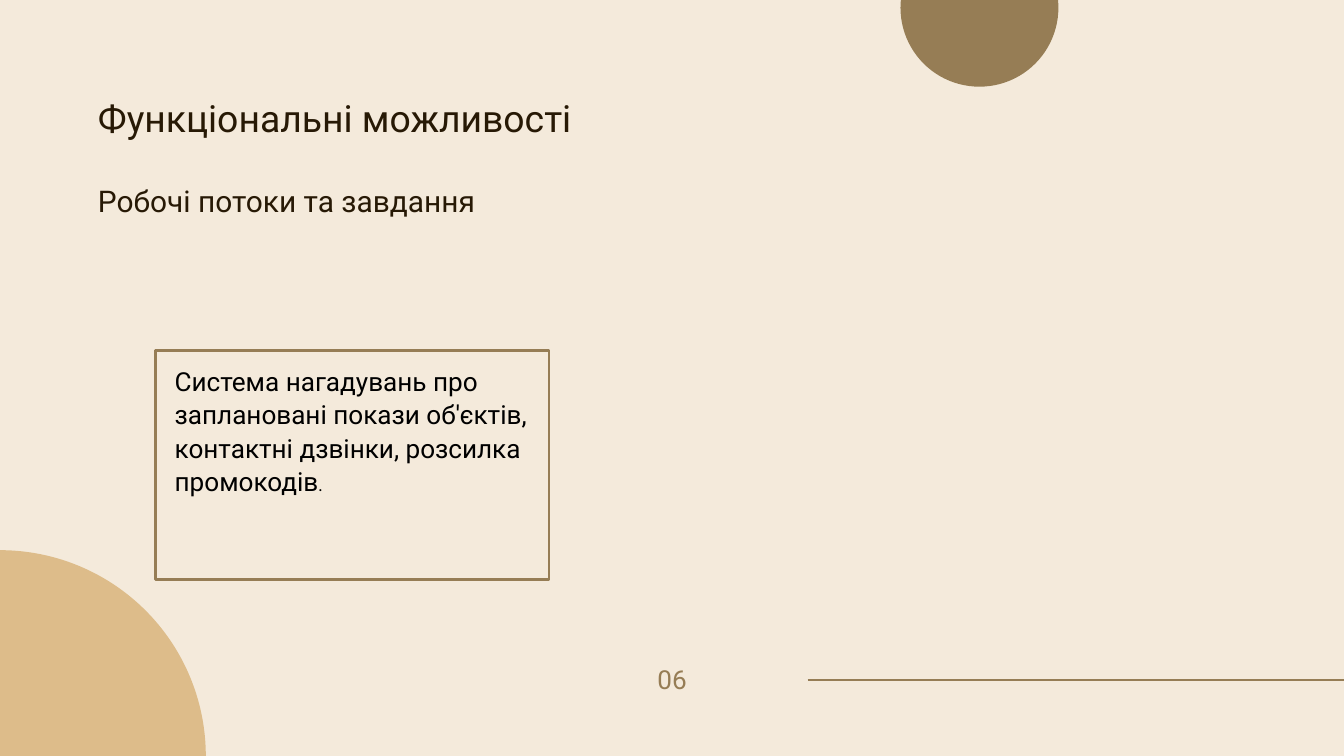
from dataclasses import dataclass

import pptx
import pptx.dml.color
import pptx.enum.shapes
import pptx.enum.text
import pptx.oxml.ns
import pptx.util
from lxml import etree

Pt = pptx.util.Pt
Align = pptx.enum.text.PP_ALIGN
Shape = pptx.enum.shapes.MSO_SHAPE


@dataclass(frozen=True)
class Theme:
    background: str = "F4EADB"
    accent: str = "967D55"
    sand: str = "DDBC8A"
    heading: str = "271905"
    body: str = "000000"
    font: str = "Roboto"
    stop_font: str = "Calibri"
    title_size: int = 40
    subtitle_size: int = 32
    body_size: int = 28
    stop_size: int = 18
    leading: int = 28
    stroke: int = 3


THEME = Theme()
WIDTH, HEIGHT = 1440, 810


def rgb(color):
    return pptx.dml.color.RGBColor.from_string(color)


def add_circle(slide, center_x, center_y, radius, color):
    circle = slide.shapes.add_shape(
        Shape.OVAL, Pt(center_x - radius), Pt(center_y - radius),
        Pt(2 * radius), Pt(2 * radius))
    circle.shadow.inherit = False
    circle.fill.solid()
    circle.fill.fore_color.rgb = rgb(color)
    circle.line.fill.background()


def add_frame(slide, left, top, width, height):
    frame = slide.shapes.add_shape(
        Shape.RECTANGLE, Pt(left), Pt(top), Pt(width), Pt(height))
    frame.shadow.inherit = False
    frame.fill.background()
    frame.line.color.rgb = rgb(THEME.accent)
    frame.line.width = Pt(THEME.stroke)


def add_rule(slide, start, end, y):
    rule = slide.shapes.add_connector(
        pptx.enum.shapes.MSO_CONNECTOR.STRAIGHT, Pt(start), Pt(y), Pt(end), Pt(y))
    rule.line.color.rgb = rgb(THEME.accent)
    rule.line.width = Pt(THEME.stroke)
    properties = rule._element.spPr
    etree.SubElement(properties, pptx.oxml.ns.qn("a:effectLst"))


def add_text_area(slide, left, top, width, height, margins=(0, 0, 0, 0)):
    area = slide.shapes.add_textbox(Pt(left), Pt(top), Pt(width), Pt(height)).text_frame
    area.word_wrap = True
    area.auto_size = pptx.enum.text.MSO_AUTO_SIZE.SHAPE_TO_FIT_TEXT
    area.margin_left, area.margin_top, area.margin_right, area.margin_bottom = map(Pt, margins)
    return area


def style_font(font, size, color, name=THEME.font):
    font.name = name
    font.size = Pt(size)
    font.color.rgb = rgb(color)


def write_line(paragraph, text, size, color, alignment):
    paragraph.text = text
    paragraph.alignment = alignment
    paragraph.line_spacing = Pt(THEME.leading)
    style_font(paragraph.font, size, color)


def add_headings(slide, title, subtitle):
    headings = add_text_area(slide, 105, 121.7, 530.6, 116)
    write_line(headings.paragraphs[0], title, THEME.title_size, THEME.heading, Align.JUSTIFY)
    second = headings.add_paragraph()
    write_line(second, subtitle, THEME.subtitle_size, THEME.heading, Align.JUSTIFY)
    second.space_before = Pt(2 * THEME.leading)


def add_description(slide, text):
    description = add_text_area(slide, 144, 385.2, 432, 151.2, (43.2, 3.6, 7.2, 3.6))
    paragraph = description.paragraphs[0]
    paragraph.line_spacing = 1.07
    paragraph.space_after = Pt(8)
    sentence = paragraph.add_run()
    sentence.text = text
    style_font(sentence.font, THEME.body_size, THEME.body)
    full_stop = paragraph.add_run()
    full_stop.text = "."
    style_font(full_stop.font, THEME.stop_size, THEME.body, THEME.stop_font)


def add_page_number(slide, number):
    area = add_text_area(slide, 459.4, 716.4, 521.3, THEME.leading)
    write_line(area.paragraphs[0], number, THEME.body_size, THEME.accent, Align.CENTER)


def main():
    presentation = pptx.Presentation()
    presentation.slide_width, presentation.slide_height = Pt(WIDTH), Pt(HEIGHT)
    slide = presentation.slides.add_slide(presentation.slide_layouts[6])
    slide.background.fill.solid()
    slide.background.fill.fore_color.rgb = rgb(THEME.background)

    add_frame(slide, 167, 375.1, 421.2, 245.5)
    add_rule(slide, 865.4, WIDTH, 728.6)
    add_page_number(slide, "06")
    add_circle(slide, 1049.4, 8.3, 84.6, THEME.accent)
    add_circle(slide, 0, HEIGHT, 220.5, THEME.sand)
    add_headings(slide, "Функціональні можливості", "Робочі потоки та завдання")
    add_description(
        slide,
        "Система нагадувань про заплановані покази об'єктів, "
        "контактні дзвінки, розсилка промокодів")

    presentation.save("out.pptx")


if __name__ == "__main__":
    main()
